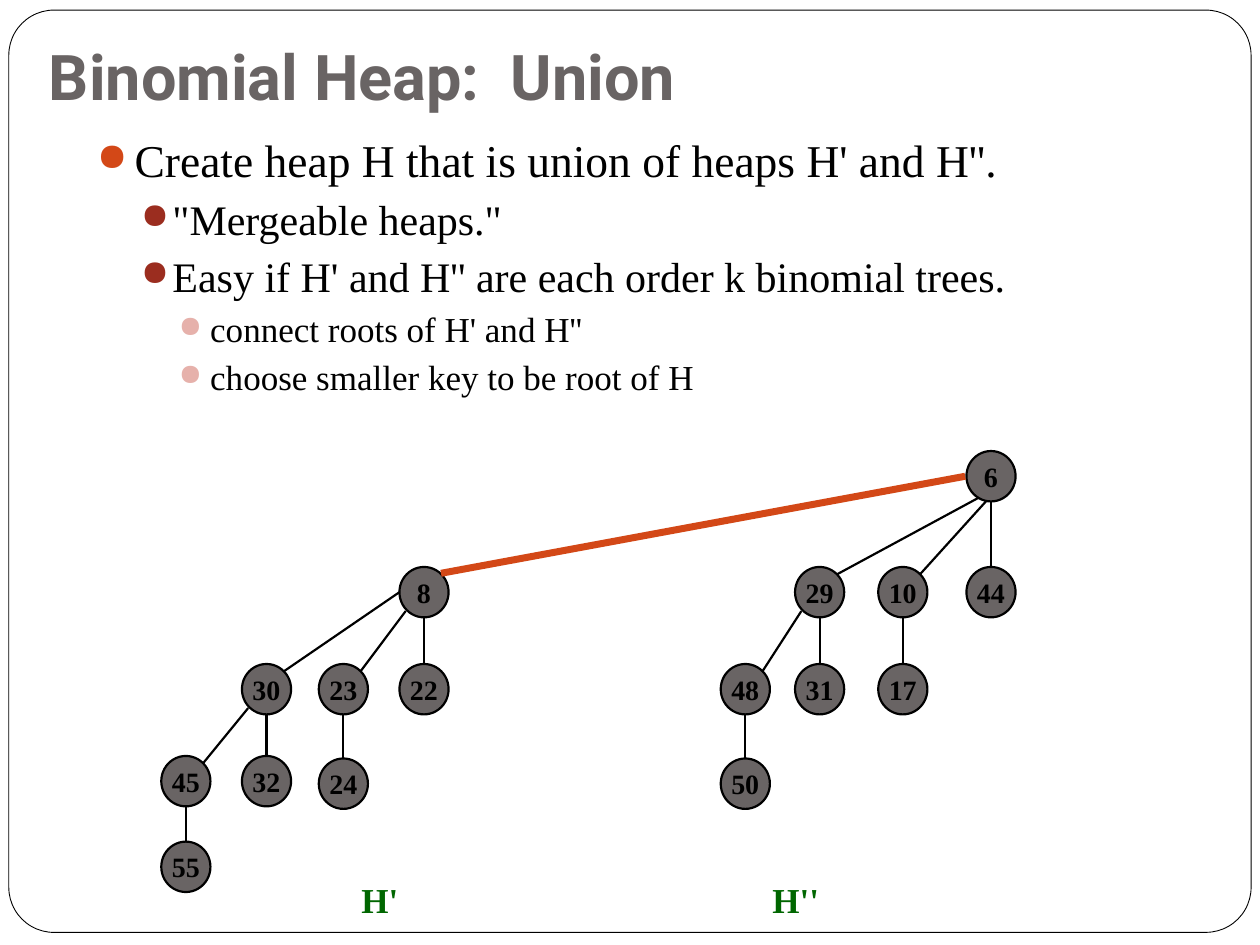
from dataclasses import dataclass

from lxml.etree import SubElement
from pptx import Presentation
from pptx.dml.color import RGBColor
from pptx.enum.shapes import MSO_CONNECTOR, MSO_SHAPE
from pptx.enum.text import MSO_ANCHOR, PP_ALIGN
from pptx.oxml.ns import qn
from pptx.util import Inches, Pt


@dataclass(frozen=True)
class Theme:
    ink: str = "000000"
    paper: str = "FFFFFF"
    gray: str = "696464"
    green: str = "006600"
    red: str = "D34817"
    dots: tuple = ("D34817", "9B2D1F", "E6B1AB")
    sizes: tuple = (26, 24, 20)
    title: int = 36
    label: int = 20
    key: int = 16
    head: str = "Roboto"
    body: str = "Times New Roman"


theme = Theme()


def write(para, text, size, color=theme.ink, bold=False, name=theme.body):
    para.text = text
    form = {"size": Pt(size), "bold": bold, "name": name}
    for key, value in form.items():
        setattr(para.font, key, value)
    para.font.color.rgb = RGBColor.from_string(color)


def link(start, end, color=theme.ink, width=1.25):
    """Draw a straight line between two points given in inches."""
    ends = [Inches(v) for v in (*start, *end)]
    line = slide.shapes.add_connector(MSO_CONNECTOR.STRAIGHT, *ends)
    line.line.color.rgb = RGBColor.from_string(color)
    line.line.width = Pt(width)
    SubElement(line._element.spPr, qn("a:effectLst"))


deck = Presentation()
deck.slide_width, deck.slide_height = Inches(10), Inches(7.5)
slide = deck.slides.add_slide(deck.slide_layouts[6])

# Frame
frame = slide.shapes.add_shape(
    MSO_SHAPE.ROUNDED_RECTANGLE, Inches(0.07), Inches(0.08), Inches(9.86), Inches(7.32))
frame.adjustments[0] = 0.049
frame.shadow.inherit = False
frame.fill.solid()
frame.fill.fore_color.rgb = RGBColor.from_string(theme.paper)
frame.line.color.rgb = RGBColor.from_string(theme.ink)
frame.line.width = Pt(0.5)

# Title
title = slide.shapes.add_textbox(Inches(0.29), Inches(0.31), Inches(8.71), Inches(0.69)).text_frame
form = {"word_wrap": True, "vertical_anchor": MSO_ANCHOR.BOTTOM, "margin_bottom": Inches(0.1)}
for key, value in form.items():
    setattr(title, key, value)
write(title.paragraphs[0], "Binomial Heap:  Union", theme.title, theme.gray, True, theme.head)

# Bullets: level and text
points = [
    (0, "Create heap H that is union of heaps H' and H''."),
    (1, "\"Mergeable heaps.\""),
    (1, "Easy if H' and H'' are each order k binomial trees."),
    (2, "connect roots of H' and H''"),
    (2, "choose smaller key to be root of H"),
]
indents = [(0.3, -0.3), (0.6, -0.25), (0.9, -0.25)]
body = slide.shapes.add_textbox(Inches(0.67), Inches(1), Inches(8.58), Inches(5.92)).text_frame
body.word_wrap = True
for i, (level, text) in enumerate(points):
    para = body.add_paragraph() if i else body.paragraphs[0]
    para.level = level
    if i:
        para.space_before = Pt(3.7)
    props = para._p.get_or_add_pPr()
    for key, value in zip(("marL", "indent"), indents[level]):
        props.set(key, str(Inches(value)))
    tint = SubElement(props, qn("a:buClr"))
    SubElement(tint, qn("a:srgbClr"), val=theme.dots[level])
    SubElement(props, qn("a:buSzPct"), val="85000")
    SubElement(props, qn("a:buChar"), char="●")
    write(para, text, theme.sizes[level])

# Heap nodes: key to left and top
wide, high = 0.39, 0.4
nodes = {
    6: (7.67, 3.58), 29: (6.31, 4.5), 10: (6.97, 4.5), 44: (7.67, 4.5),
    48: (5.72, 5.27), 31: (6.31, 5.27), 17: (6.97, 5.27), 50: (5.72, 6.02),
    8: (3.17, 4.5), 30: (1.92, 5.27), 23: (2.53, 5.27), 22: (3.17, 5.27),
    45: (1.28, 6), 32: (1.92, 6), 24: (2.53, 6.02), 55: (1.28, 6.68),
}
# Offsets from a node's corner where edges meet it
top, base = (wide / 2, 0), (wide / 2, high)
left, low, high_right = (0, 0.2), (0.05, 0.35), (0.33, 0.06)
edges = [(44, 6), (31, 29), (17, 10), (50, 48), (22, 8), (32, 30), (24, 23), (55, 45)]
slants = [(29, 6, (0.19, 0.32)), (10, 6, (0.2, 0.35)), (48, 29, low),
          (30, 8, left), (23, 8, low), (45, 30, low)]
joins = [(kid, top, root, base) for kid, root in edges]
joins += [(kid, high_right, root, spot) for kid, root, spot in slants]
for kid, start, root, end in joins:
    link([a + b for a, b in zip(nodes[kid], start)],
         [a + b for a, b in zip(nodes[root], end)])

for number, (x, y) in nodes.items():
    node = slide.shapes.add_shape(
        MSO_SHAPE.OVAL, Inches(x), Inches(y), Inches(wide), Inches(high))
    node.shadow.inherit = False
    node.fill.solid()
    node.fill.fore_color.rgb = RGBColor.from_string(theme.gray)
    node.line.color.rgb = RGBColor.from_string(theme.ink)
    node.line.width = Pt(1.25)
    node.text_frame.word_wrap = False
    node.text_frame.vertical_anchor = MSO_ANCHOR.MIDDLE
    para = node.text_frame.paragraphs[0]
    para.alignment = PP_ALIGN.CENTER
    write(para, str(number), theme.key, bold=True)

# New edge that joins the two roots
link((7.66, 3.78), (3.5, 4.55), theme.red, 4)

# Heap names
for x, text in [(2.67, "H'"), (5.97, "H''")]:
    label = slide.shapes.add_textbox(Inches(x), Inches(6.92), Inches(0.69), Inches(0.43)).text_frame
    label.word_wrap = True
    para = label.paragraphs[0]
    para.alignment = PP_ALIGN.CENTER
    write(para, text, theme.label, theme.green, True)

deck.save("out.pptx")
